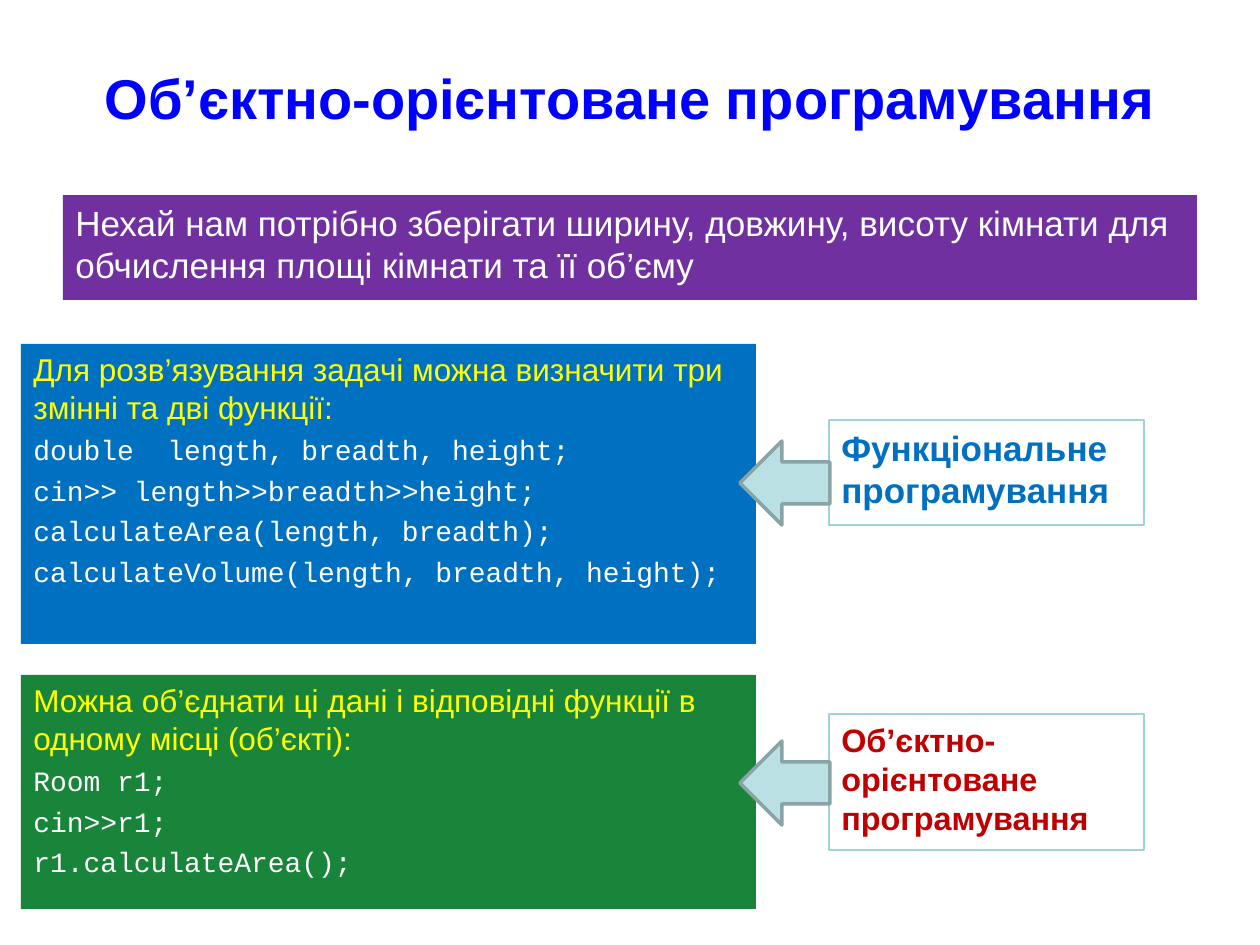
from dataclasses import dataclass

from pptx import Presentation
from pptx.dml.color import RGBColor
from pptx.enum.shapes import MSO_SHAPE
from pptx.enum.text import MSO_ANCHOR, PP_ALIGN
from pptx.util import Emu, Pt

RECTANGLE = MSO_SHAPE.RECTANGLE
LEFT_ARROW = MSO_SHAPE.LEFT_ARROW
TOP, MIDDLE = MSO_ANCHOR.TOP, MSO_ANCHOR.MIDDLE
LEFT, CENTER = PP_ALIGN.LEFT, PP_ALIGN.CENTER

EMU_PER_PX = 914400 // 126
SLIDE_WIDTH, SLIDE_HEIGHT = 1260, 945
PROSE_FONT, CODE_FONT = "Arial", "Courier New"
COLORS = {
    "title": "0000FF",
    "task": "7030A0",
    "functional": "0070C0",
    "object": "18853B",
    "object_label": "C00000",
    "intro": "FFFF00",
    "white": "FFFFFF",
    "label_border": "9ED3D7",
    "arrow": "BBE0E3",
    "arrow_border": "89A4A7",
}


@dataclass(frozen=True)
class Box:
    left: int
    top: int
    width: int
    height: int

    def emu(self) -> list[Emu]:
        return [Emu(px * EMU_PER_PX)
                for px in (self.left, self.top, self.width, self.height)]


@dataclass(frozen=True)
class Approach:
    code_box: Box
    fill: str
    intro: str
    code: tuple[str, ...]
    label_box: Box
    label: str
    label_size: float
    label_color: str
    arrow_top: int


APPROACHES = (
    Approach(
        Box(21, 344, 735, 300), "functional",
        "Для розв’язування задачі можна визначити три змінні та дві функції:",
        (
            "double  length, breadth, height;",
            "cin>> length>>breadth>>height;",
            "calculateArea(length, breadth);",
            "calculateVolume(length, breadth, height);",
        ),
        Box(829, 420, 315, 105), "Функціональне програмування",
        20, "functional", 441,
    ),
    Approach(
        Box(21, 675, 735, 234), "object",
        "Можна об’єднати ці дані і відповідні функції в одному місці (об’єкті):",
        ("Room r1;", "cin>>r1;", "r1.calculateArea();"),
        Box(829, 714, 315, 136), "Об’єктно-орієнтоване програмування",
        18.5, "object_label", 741,
    ),
)


def rgb(name: str) -> RGBColor:
    return RGBColor.from_string(COLORS[name])


def add_panel(slide, box: Box, fill: str, kind=RECTANGLE,
              border: str | None = None, border_width: float = 0.75):
    panel = slide.shapes.add_shape(kind, *box.emu())
    panel.shadow.inherit = False
    panel.fill.solid()
    panel.fill.fore_color.rgb = rgb(fill)
    if border:
        panel.line.color.rgb = rgb(border)
        panel.line.width = Pt(border_width)
    else:
        panel.line.fill.background()
    panel.text_frame.word_wrap = True
    panel.text_frame.vertical_anchor = TOP
    return panel


def add_text(frame, text: str, *, size: float, color: str,
             font: str = PROSE_FONT, bold: bool = False,
             before: float = 0, align=LEFT) -> None:
    first = frame.paragraphs[0]
    paragraph = frame.add_paragraph() if first.runs else first
    paragraph.alignment = align
    paragraph.space_before = Pt(before)
    run = paragraph.add_run()
    run.text = text
    run.font.name = font
    run.font.size = Pt(size)
    run.font.bold = bold
    run.font.color.rgb = rgb(color)


def add_approach(slide, approach: Approach) -> None:
    listing = add_panel(slide, approach.code_box, approach.fill).text_frame
    add_text(listing, approach.intro, size=18, color="intro", before=4.5)
    for line in approach.code:
        add_text(listing, line, size=16, color="white", font=CODE_FONT, before=4)

    label = add_panel(slide, approach.label_box, "white", border="label_border")
    add_text(label.text_frame, approach.label, size=approach.label_size,
             color=approach.label_color, bold=True, before=5)

    add_panel(slide, Box(740, approach.arrow_top, 90, 84), "arrow",
              kind=LEFT_ARROW, border="arrow_border", border_width=2)


def main() -> None:
    presentation = Presentation()
    presentation.slide_width = Emu(SLIDE_WIDTH * EMU_PER_PX)
    presentation.slide_height = Emu(SLIDE_HEIGHT * EMU_PER_PX)
    slide = presentation.slides.add_slide(presentation.slide_layouts[6])

    title = slide.shapes.add_textbox(*Box(0, 0, SLIDE_WIDTH, 195).emu()).text_frame
    title.word_wrap = True
    title.vertical_anchor = MIDDLE
    add_text(title, "Об’єктно-орієнтоване програмування",
             size=32, color="title", bold=True, align=CENTER)

    task = add_panel(slide, Box(63, 195, 1134, 105), "task")
    add_text(task.text_frame,
             "Нехай нам потрібно зберігати ширину, довжину, висоту кімнати "
             "для обчислення площі кімнати та її об’єму",
             size=20, color="white", before=5)

    for approach in APPROACHES:
        add_approach(slide, approach)

    presentation.save("out.pptx")


if __name__ == "__main__":
    main()
